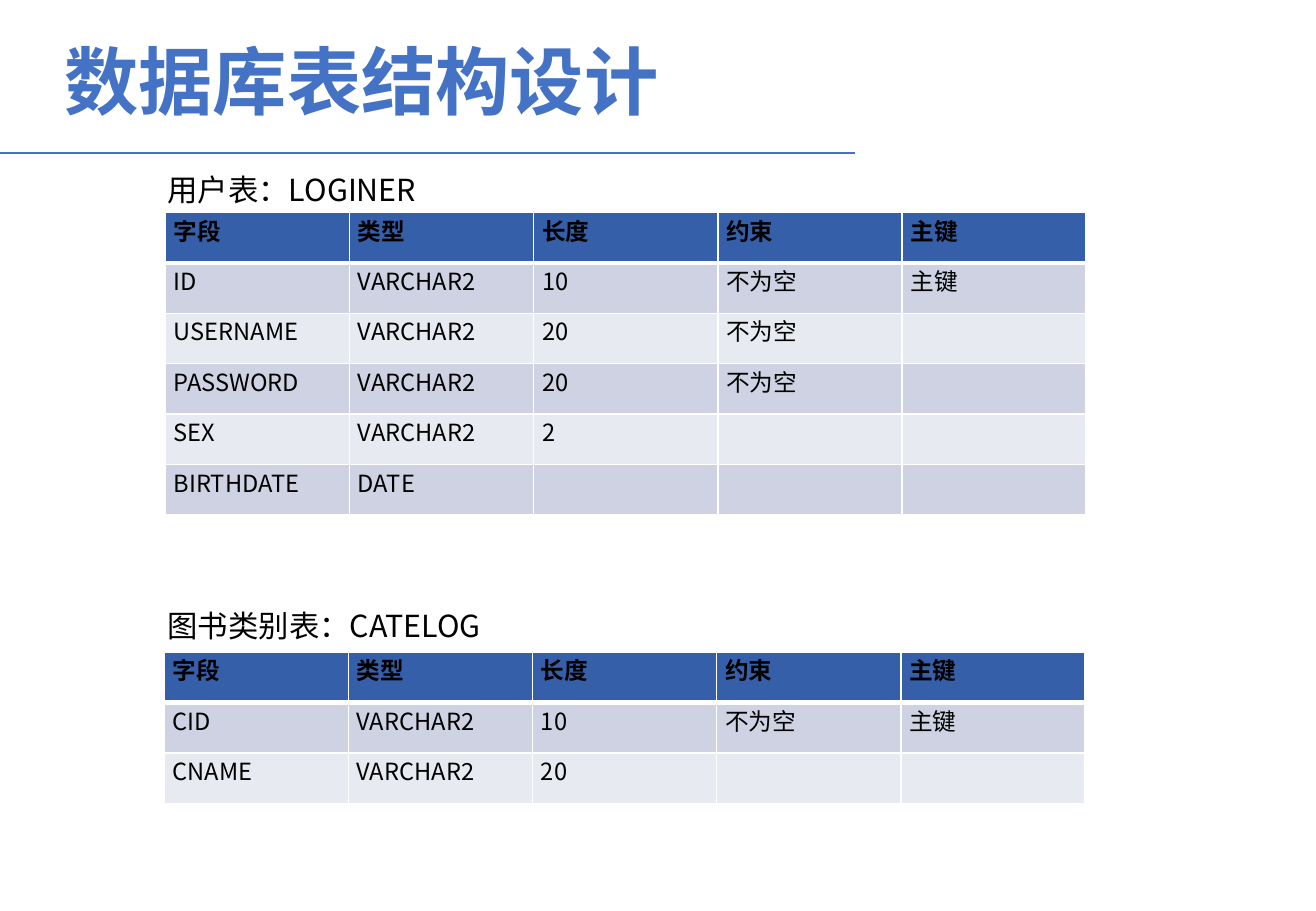
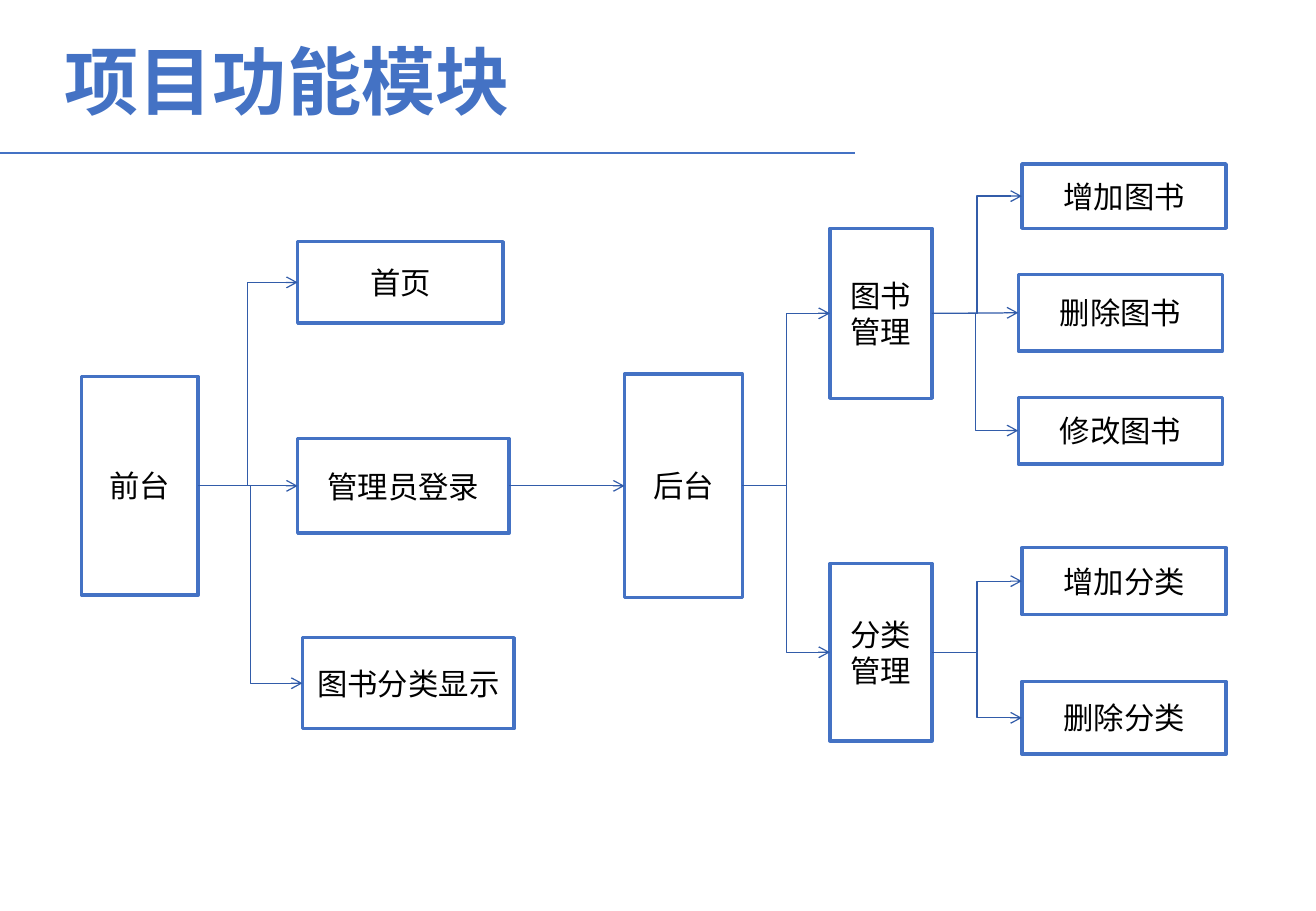
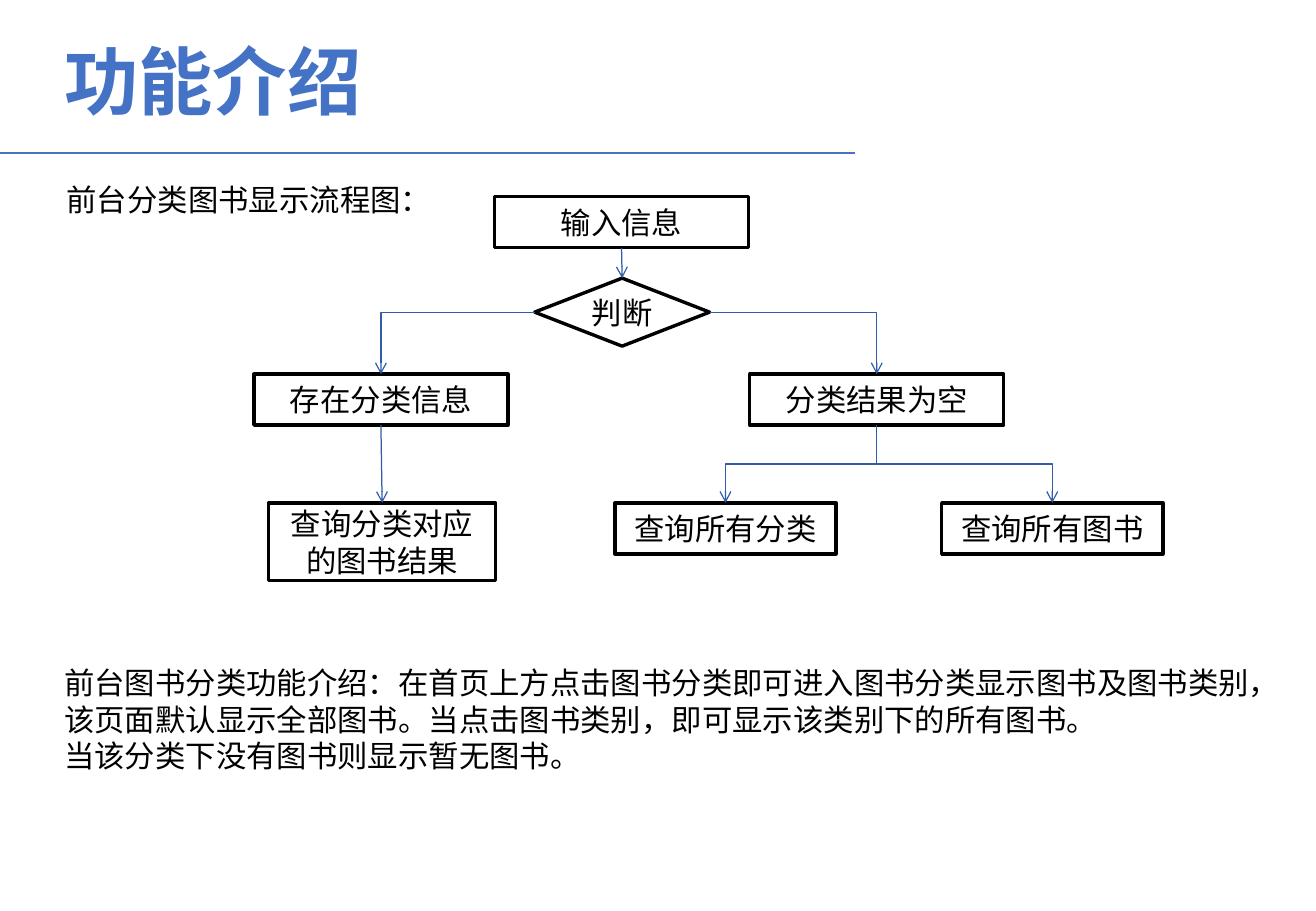
from dataclasses import dataclass
from lxml import etree
from pptx import Presentation, util as u
from pptx.dml.color import RGBColor
from pptx.enum import shapes, text
from pptx.oxml.ns import qn


@dataclass(frozen=True)
class Theme:
    font: str = "Noto Sans CJK SC"
    blue: str = "4472C4"
    arrow: str = "325CA9"
    head: str = "365FAA"
    odd: str = "CED2E2"
    even: str = "E8EAF1"
    white: str = "FFFFFF"
    black: str = "000000"
    title: int = 44
    body: int = 18
    cell: int = 14


T = Theme()
RGB = RGBColor.from_string
STEP = u.Inches(0.1)
TOP, LEFT, BOTTOM, RIGHT = range(4)


def write(frame, lines, size=T.body, color=T.black, bold=False, align=text.PP_ALIGN.LEFT):
    for i, line in enumerate(lines):
        para = frame.add_paragraph() if i else frame.paragraphs[0]
        para.alignment = align
        run = para.add_run()
        run.text = line
        font = run.font
        font.size, font.bold, font.name = u.Pt(size), bold, T.font
        font.color.rgb = RGB(color)
        etree.SubElement(run._r.rPr, qn("a:ea"), typeface=T.font)


def rule(slide, color, width):
    wire = slide.shapes.add_connector(shapes.MSO_CONNECTOR.STRAIGHT, 0, 0, 0, 0)
    wire.line.color.rgb = RGB(color)
    wire.line.width = u.Pt(width)
    etree.SubElement(wire.element.spPr, qn("a:effectLst"))
    return wire


deck = Presentation()
deck.slide_width, deck.slide_height = round(108.3 * STEP), 75 * STEP
layout = deck.slide_layouts[5]
name = layout.placeholders[0]
name.left, name.top, name.width, name.height = [round(n * STEP) for n in (4.3, 3.2, 87, 7.1)]

pages = []
for label in ("数据库表结构设计", "项目功能模块", "功能介绍"):
    page = deck.slides.add_slide(layout)
    frame = page.shapes.title.text_frame
    frame.auto_size = text.MSO_AUTO_SIZE.NONE
    frame.vertical_anchor = text.MSO_ANCHOR.TOP
    write(frame, [label], T.title, T.blue, True)
    frame.paragraphs[0].line_spacing = 0.9
    pages.append(page)
data, modules, flow = pages

line = rule(data, T.blue, 1.25)
line.begin_y = line.end_y = round(12.6 * STEP)
line.end_x = round(deck.slide_width * 0.65)
layout.element.cSld.spTree.append(line.element)

HEAD = ("字段", "类型", "长度", "约束", "主键")
tables = [
    (13.6, 17.5, [
        HEAD,
        ("ID", "VARCHAR2", "10", "不为空", "主键"),
        ("USERNAME", "VARCHAR2", "20", "不为空", ""),
        ("PASSWORD", "VARCHAR2", "20", "不为空", ""),
        ("SEX", "VARCHAR2", "2", "", ""),
        ("BIRTHDATE", "DATE", "", "", ""),
    ]),
    (13.5, 53.7, [
        HEAD,
        ("CID", "VARCHAR2", "10", "不为空", "主键"),
        ("CNAME", "VARCHAR2", "20", "", ""),
    ]),
]
for x, y, rows in tables:
    box = [round(n * STEP) for n in (x, y, 75.8, 4.15 * len(rows))]
    grid = data.shapes.add_table(len(rows), len(HEAD), *box).table
    grid.horz_banding = False
    for r, row in enumerate(rows):
        for c, word in enumerate(row):
            cell = grid.cell(r, c)
            cell.margin_left = cell.margin_right = u.Inches(0.07)
            cell.margin_top = cell.margin_bottom = 0
            if word:
                write(cell.text_frame, [word], T.cell, bold=r == 0)
            for side in "LRTB":
                thick = (r, side) in ((0, "B"), (1, "T"))
                edge = etree.SubElement(cell._tc.tcPr, qn("a:ln" + side), w=str(u.Pt(3 if thick else 1)))
                fill = etree.SubElement(edge, qn("a:solidFill"))
                etree.SubElement(fill, qn("a:srgbClr"), val=T.white)
            cell.fill.solid()
            cell.fill.fore_color.rgb = RGB(T.head if r == 0 else T.odd if r % 2 else T.even)

notes = [
    (data, (12.8, 13.6, 23.4, 4), True, ["用户表：LOGINER"]),
    (data, (12.8, 49.5, 52.8, 4), True, ["图书类别表：CATELOG"]),
    (flow, (4.5, 14.4, 33.6, 4), True, ["前台分类图书显示流程图："]),
    (flow, (4.3, 54.2, 102, 10.1), False, [
        "前台图书分类功能介绍：在首页上方点击图书分类即可进入图书分类显示图书及图书类别，",
        "该页面默认显示全部图书。当点击图书类别，即可显示该类别下的所有图书。",
        "当该分类下没有图书则显示暂无图书。",
    ]),
]
for page, box, wrap, lines in notes:
    frame = page.shapes.add_textbox(*[round(n * STEP) for n in box]).text_frame
    frame.word_wrap = wrap
    write(frame, lines)

charts = [
    (modules, T.blue, {
        "前台": (6.7, 31, 9.6, 18),
        "图书分类显示": (24.9, 52.5, 17.4, 7.5),
        "管理员登录": (24.5, 36.1, 17.4, 7.8),
        "首页": (24.5, 19.9, 16.9, 6.7),
        "后台": (51.4, 30.8, 9.7, 18.4),
        "图书管理": (68.3, 18.8, 8.4, 14),
        "分类管理": (68.3, 46.4, 8.4, 14.6),
        "增加图书": (84.1, 13.5, 16.8, 5.3),
        "删除图书": (83.8, 22.6, 16.8, 6.3),
        "修改图书": (83.8, 32.7, 16.8, 5.5),
        "增加分类": (84.1, 45.1, 16.8, 5.5),
        "删除分类": (84.1, 56.1, 16.8, 6),
    }, [
        ("前台", RIGHT, LEFT, ("首页", "管理员登录", "图书分类显示")),
        ("管理员登录", RIGHT, LEFT, ("后台",)),
        ("后台", RIGHT, LEFT, ("图书管理", "分类管理")),
        ("图书管理", RIGHT, LEFT, ("增加图书", "删除图书", "修改图书")),
        ("分类管理", RIGHT, LEFT, ("增加分类", "删除分类")),
    ]),
    (flow, T.black, {
        "输入信息": (40.7, 16.2, 20.9, 4.2),
        "判断": (44, 22.9, 14.4, 5.6),
        "存在分类信息": (20.9, 30.8, 20.9, 4.2),
        "分类结果为空": (61.7, 30.8, 20.9, 4.2),
        "查询分类对应的图书结果": (22.1, 41.4, 18.7, 6.4),
        "查询所有分类": (50.6, 41.4, 18.2, 4.2),
        "查询所有图书": (77.5, 41.4, 18.2, 4.2),
    }, [
        ("输入信息", BOTTOM, TOP, ("判断",)),
        ("判断", LEFT, TOP, ("存在分类信息",)),
        ("判断", RIGHT, TOP, ("分类结果为空",)),
        ("存在分类信息", BOTTOM, TOP, ("查询分类对应的图书结果",)),
        ("分类结果为空", BOTTOM, TOP, ("查询所有分类", "查询所有图书")),
    ]),
]
KIND = shapes.MSO_SHAPE
for page, color, boxes, links in charts:
    nodes = {}
    for word, box in boxes.items():
        kind = KIND.DIAMOND if word == "判断" else KIND.RECTANGLE
        node = page.shapes.add_shape(kind, *[round(n * STEP) for n in box])
        node.shadow.inherit = False
        node.fill.solid()
        node.fill.fore_color.rgb = RGB(T.white)
        node.line.color.rgb = RGB(color)
        node.line.width = u.Pt(2)
        node.text_frame.vertical_anchor = text.MSO_ANCHOR.MIDDLE
        write(node.text_frame, [word], align=text.PP_ALIGN.CENTER)
        nodes[word] = node

    for start, out, into, ends in links:
        for end in ends:
            wire = rule(page, T.arrow, 0.75)
            wire.begin_connect(nodes[start], out)
            wire.end_connect(nodes[end], into)
            etree.SubElement(wire.line._get_or_add_ln(), qn("a:tailEnd"), type="arrow")
            dx, dy = wire.end_x - wire.begin_x, wire.end_y - wire.begin_y
            if min(abs(dx), abs(dy)) < STEP / 4:
                continue
            corner = out != BOTTOM and into == TOP
            geom = wire.element.spPr.find(qn("a:prstGeom"))
            geom.set("prst", "bentConnector2" if corner else "bentConnector3")
            if out == BOTTOM:
                mx, my = wire.begin_x + dx // 2, wire.begin_y + dy // 2
                wire.begin_x, wire.end_x = mx - dy // 2, mx + dy // 2
                wire.begin_y, wire.end_y = my + dx // 2, my - dx // 2
                wire.element.spPr.find(qn("a:xfrm")).set("rot", "5400000")

deck.save("out.pptx")
